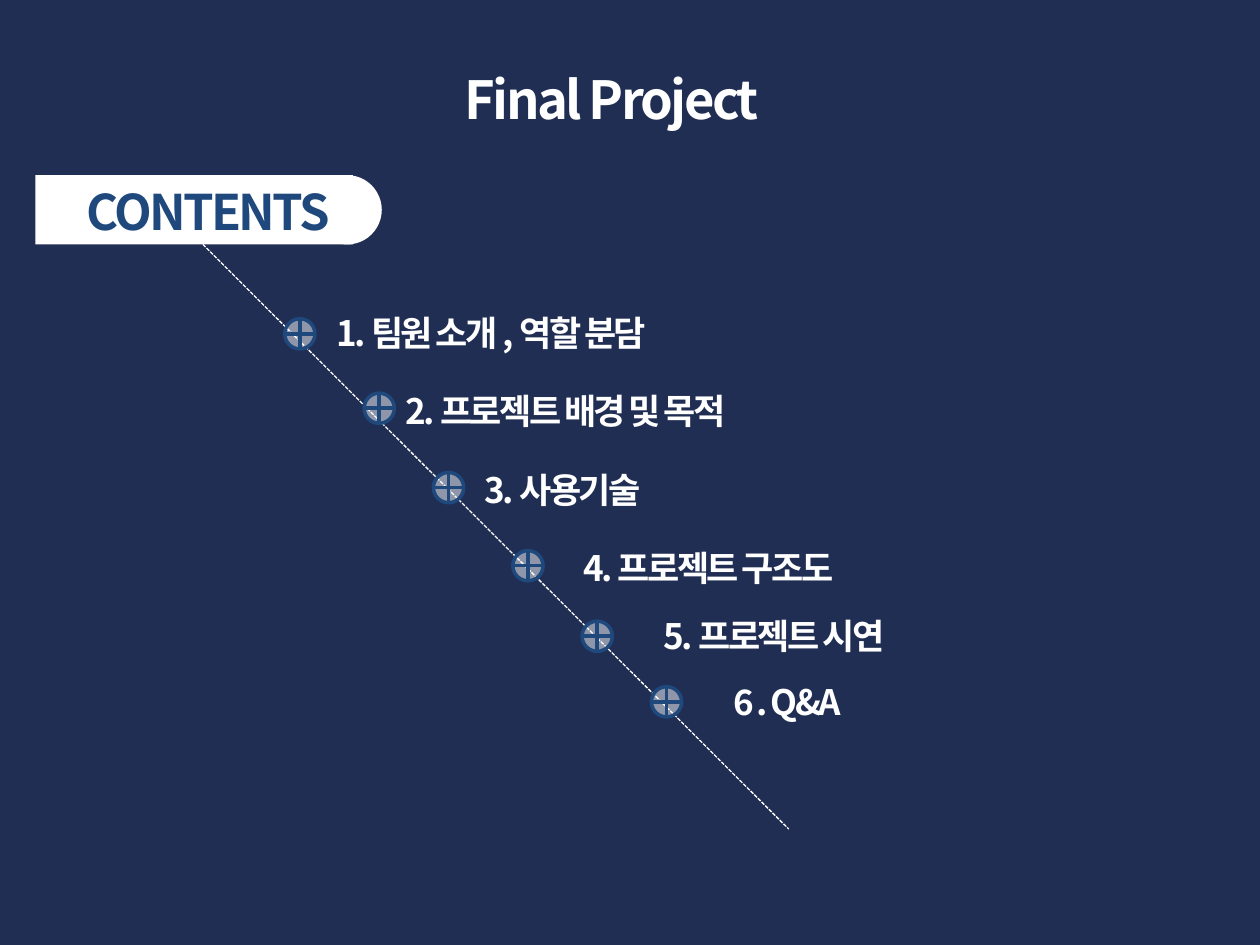
from lxml import etree
from pptx import Presentation
from pptx.dml.color import RGBColor
from pptx.enum.dml import MSO_LINE
from pptx.enum.shapes import MSO_CONNECTOR, MSO_SHAPE
from pptx.enum.text import MSO_AUTO_SIZE, PP_ALIGN
from pptx.oxml.ns import qn
from pptx.util import Inches, Pt

FONT = "Noto Sans CJK KR"
COLORS = {"background": "212E53", "white": "FFFFFF", "blue": "1F497D"}
LETTER_SPACING = "-150"  # hundredths of a point
MARKER_SIZE = 0.24
ITEM_SIZE = (4.09, 0.44)

TITLE = "Final Project"
HEADING = "CONTENTS"
# text, text left and top, marker left and top
ITEMS = [
    ("1. 팀원 소개 , 역할 분담", (2.57, 2.42), (2.26, 2.53)),
    ("2. 프로젝트 배경 및 목적", (3.12, 3.04), (2.89, 3.12)),
    ("3. 사용기술", (3.75, 3.67), (3.44, 3.75)),
    ("4. 프로젝트 구조도", (4.53, 4.29), (4.07, 4.37)),
    ("5. 프로젝트 시연", (5.17, 4.83), (4.62, 4.93)),
    ("6 . Q&A", (5.72, 5.35), (5.17, 5.45)),
]


def color(name):
    return RGBColor.from_string(COLORS[name])


def add_text(slide, text, left, top, width, height, size,
             color_name="white", align=PP_ALIGN.LEFT):
    box = slide.shapes.add_textbox(*map(Inches, (left, top, width, height)))
    frame = box.text_frame
    frame.word_wrap = True
    frame.auto_size = MSO_AUTO_SIZE.SHAPE_TO_FIT_TEXT
    frame.text = text
    paragraph = frame.paragraphs[0]
    paragraph.alignment = align
    run = paragraph.runs[0]
    run.font.name = FONT
    run.font.size = Pt(size)
    run.font.bold = True
    run.font.color.rgb = color(color_name)
    properties = run.font._element
    properties.set("spc", LETTER_SPACING)
    latin = properties.find(qn("a:latin"))
    east_asian = etree.Element(qn("a:ea"), typeface=FONT)
    latin.addnext(east_asian)


def add_white_shape(shapes, preset, left, top, width, height):
    shape = shapes.add_shape(preset, *map(Inches, (left, top, width, height)))
    shape.shadow.inherit = False
    shape.fill.solid()
    shape.fill.fore_color.rgb = color("white")
    shape.line.fill.background()
    return shape


def add_marker(slide, left, top):
    marker = add_white_shape(slide.shapes, MSO_SHAPE.FLOWCHART_OR,
                             left, top, MARKER_SIZE, MARKER_SIZE)
    fill_color = marker._element.spPr.find(qn("a:solidFill"))[0]
    etree.SubElement(fill_color, qn("a:alpha"), val="50000")
    marker.line.color.rgb = color("blue")
    marker.line.width = Pt(2)


def add_dashed_line(slide, start, end):
    line = slide.shapes.add_connector(MSO_CONNECTOR.STRAIGHT,
                                      *map(Inches, start + end))
    line.line.color.rgb = color("white")
    line.line.width = Pt(0.75)
    line.line.dash_style = MSO_LINE.SQUARE_DOT
    etree.SubElement(line._element.spPr, qn("a:effectLst"))


def main():
    presentation = Presentation()
    presentation.slide_width = Inches(10)
    presentation.slide_height = Inches(7.5)
    slide = presentation.slides.add_slide(presentation.slide_layouts[6])
    slide.background.fill.solid()
    slide.background.fill.fore_color.rgb = color("background")

    add_text(slide, TITLE, 1.47, 0.48, 6.77, 0.6, 30, align=PP_ALIGN.CENTER)

    banner = slide.shapes.add_group_shape()
    add_white_shape(banner.shapes, MSO_SHAPE.RECTANGLE, 0.28, 1.39, 2.52, 0.55)
    add_white_shape(banner.shapes, MSO_SHAPE.OVAL, 2.48, 1.39, 0.55, 0.55)
    add_text(slide, HEADING, 0.59, 1.39, 2.52, 0.57, 28, "blue")

    add_dashed_line(slide, (1.61, 1.94), (6.26, 6.58))
    for text, text_position, marker_position in ITEMS:
        add_marker(slide, *marker_position)
        add_text(slide, text, *text_position, *ITEM_SIZE, 20)

    presentation.save("out.pptx")


if __name__ == "__main__":
    main()
